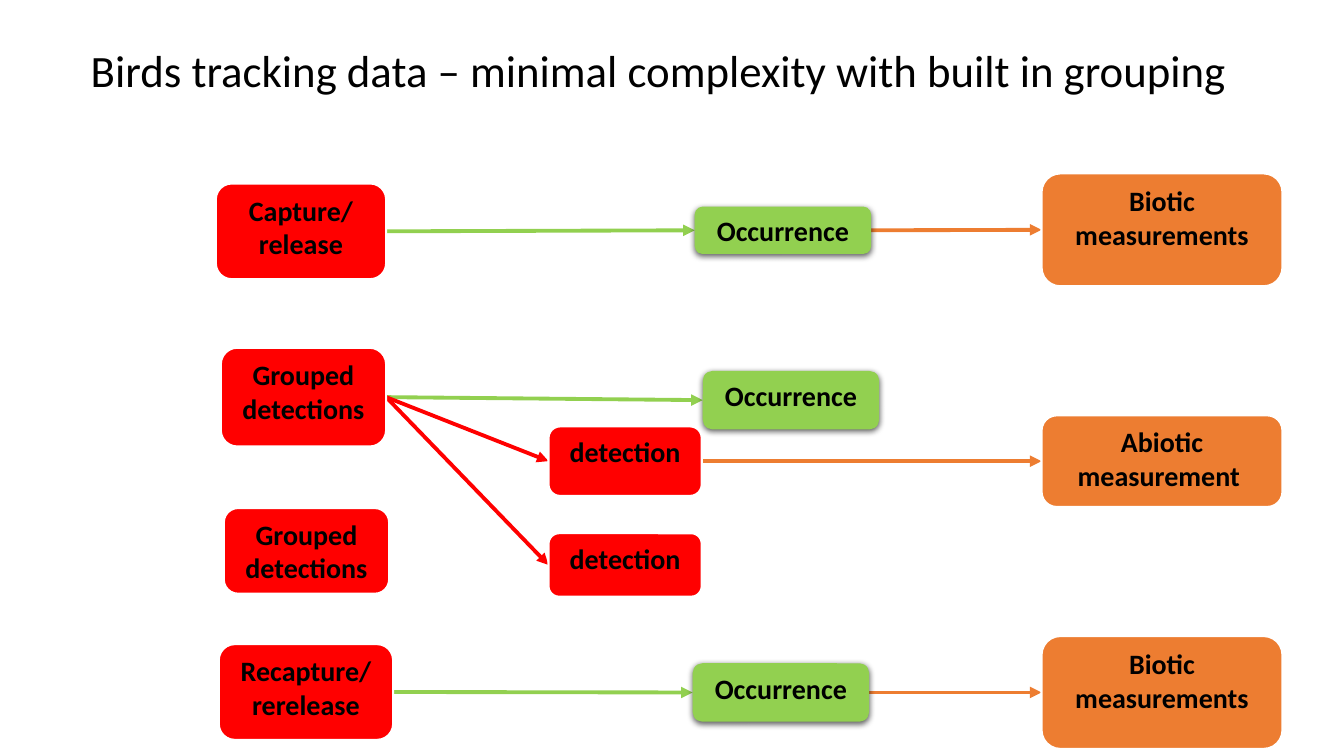
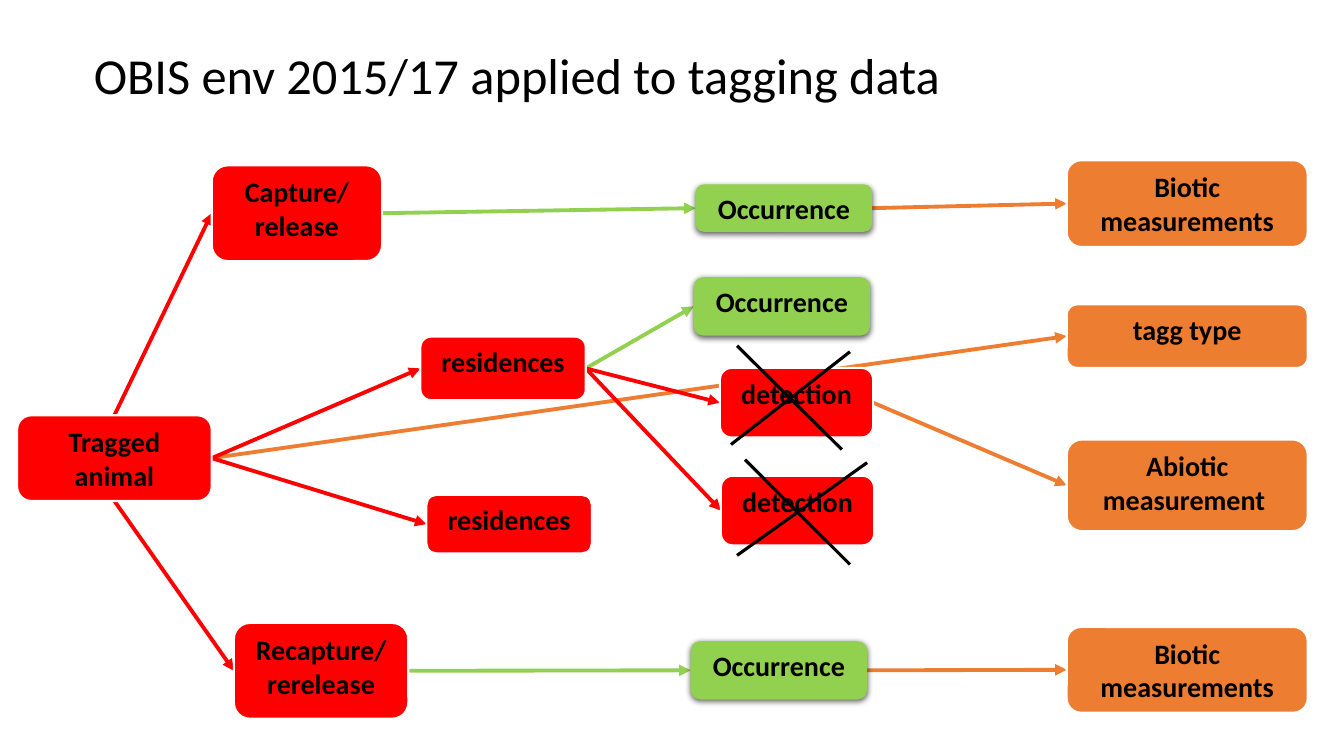
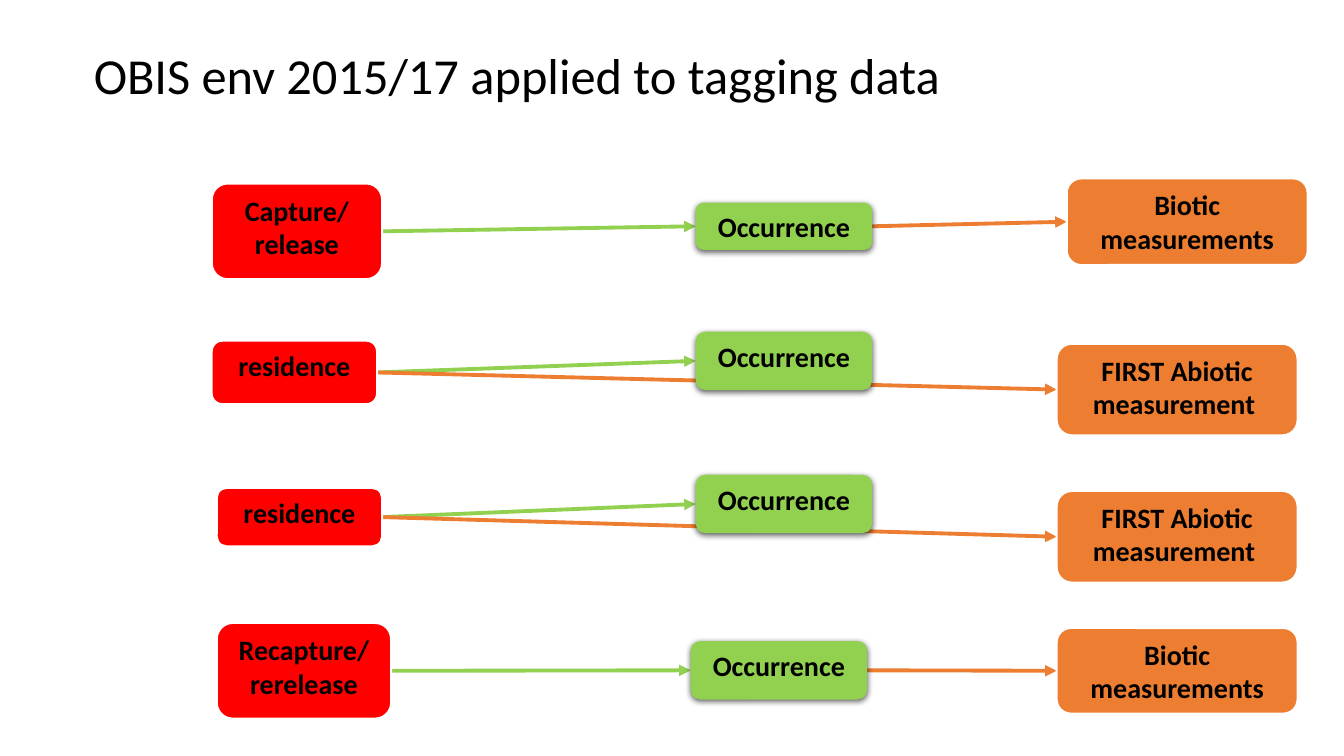
"""Build three slides on event structures for animal tracking data."""
from dataclasses import dataclass

from lxml.etree import SubElement
from pptx import Presentation
from pptx.dml.color import RGBColor
from pptx.enum.shapes import MSO_CONNECTOR, MSO_SHAPE
from pptx.enum.text import MSO_ANCHOR, MSO_AUTO_SIZE, PP_ALIGN
from pptx.oxml.ns import qn
from pptx.util import Inches, Pt


@dataclass(frozen=True)
class Theme:
    font: str = "Calibri"
    text: RGBColor = RGBColor(0, 0, 0)
    border: RGBColor = RGBColor(255, 255, 255)
    event: RGBColor = RGBColor(255, 0, 0)
    occurrence: RGBColor = RGBColor(0x92, 0xD0, 0x50)
    measurement: RGBColor = RGBColor(0xED, 0x7D, 0x31)
    long_title_size: Pt = Pt(32)
    title_size: Pt = Pt(36)
    label_size: Pt = Pt(20)
    border_width: Pt = Pt(1.5)
    link_width: Pt = Pt(2.75)
    strike_width: Pt = Pt(2.25)


THEME = Theme()
TOP, LEFT, BOTTOM, RIGHT = range(4)

KINDS = {
    "animal": (THEME.event, "Tragged animal", 1.93),
    "capture": (THEME.event, "Capture/ release", 1.69),
    "recapture": (THEME.event, "Recapture/ rerelease", 1.73),
    "group": (THEME.event, "Grouped detections", 1.64),
    "residences": (THEME.event, "residences", 1.64),
    "residence": (THEME.event, "residence", 1.64),
    "detection": (THEME.event, "detection", 1.52),
    "occurrence": (THEME.occurrence, "Occurrence", 1.75),
    "biotic": (THEME.measurement, "Biotic measurements", 2.39),
    "abiotic": (THEME.measurement, "Abiotic\nmeasurement ", 2.39),
    "first abiotic": (THEME.measurement, "FIRST Abiotic\nmeasurement ", 2.39),
    "tag": (THEME.measurement, "tagg type", 2.39),
}

OBIS_TITLE = ("OBIS env 2015/17 applied to tagging data", THEME.title_size, (0.83, 0.05, 12.05, 1.45))

SLIDES = [
    {
        "title": (
            "Birds tracking data – minimal complexity with built in grouping",
            THEME.long_title_size,
            (0.8, 0, 11.5, 1.45),
        ),
        "boxes": {
            "capture": ("capture", 2.14, 1.82, 0.95),
            "recapture": ("recapture", 2.17, 6.39, 0.95),
            "capture occurrence": ("occurrence", 6.89, 2.05, 0.47),
            "capture biotic": ("biotic", 10.33, 1.72, 1.12),
            "group 1": ("group", 2.19, 3.45, 0.98),
            "group 2": ("group", 2.22, 5.04, 0.85),
            "group occurrence": ("occurrence", 6.97, 3.68, 0.58),
            "detection 1": ("detection", 5.44, 4.23, 0.69),
            "recapture occurrence": ("occurrence", 6.87, 6.58, 0.58),
            "abiotic": ("abiotic", 10.33, 4.12, 0.91),
            "detection 2": ("detection", 5.44, 5.29, 0.63),
            "recapture biotic": ("biotic", 10.33, 6.31, 1.12),
        },
        "links": [
            ("capture", "capture occurrence", RIGHT),
            ("capture occurrence", "capture biotic", RIGHT),
            ("group 1", "group occurrence", RIGHT),
            ("group 1", "detection 1", RIGHT),
            ("group 1", "detection 2", RIGHT),
            ("detection 1", "abiotic", RIGHT),
            ("recapture", "recapture occurrence", RIGHT),
            ("recapture occurrence", "recapture biotic", RIGHT),
        ],
        "strikes": [],
    },
    {
        "title": OBIS_TITLE,
        "boxes": {
            "animal": ("animal", 0.17, 4.12, 0.85),
            "capture": ("capture", 2.1, 1.64, 0.95),
            "recapture": ("recapture", 2.32, 6.18, 0.95),
            "capture occurrence": ("occurrence", 6.9, 1.83, 0.47),
            "capture biotic": ("biotic", 10.58, 1.59, 0.86),
            "residences 1": ("residences", 4.17, 3.34, 0.63),
            "residences 2": ("residences", 4.23, 4.91, 0.58),
            "residences occurrence": ("occurrence", 6.88, 2.75, 0.58),
            "detection 1": ("detection", 7.14, 3.65, 0.69),
            "tag": ("tag", 10.58, 3.02, 0.63),
            "recapture occurrence": ("occurrence", 6.85, 6.36, 0.58),
            "abiotic": ("abiotic", 10.58, 4.36, 0.91),
            "detection 2": ("detection", 7.15, 4.72, 0.69),
            "recapture biotic": ("biotic", 10.58, 6.22, 0.85),
        },
        "links": [
            ("animal", "tag", RIGHT),
            ("animal", "capture", TOP),
            ("capture", "capture occurrence", RIGHT),
            ("capture occurrence", "capture biotic", RIGHT),
            ("animal", "residences 1", RIGHT),
            ("animal", "residences 2", RIGHT),
            ("residences 1", "residences occurrence", RIGHT),
            ("animal", "recapture", BOTTOM),
            ("residences 1", "detection 1", RIGHT),
            ("residences 1", "detection 2", RIGHT),
            ("detection 1", "abiotic", RIGHT),
            ("recapture", "recapture occurrence", RIGHT),
            ("recapture occurrence", "recapture biotic", RIGHT),
        ],
        "strikes": [
            (7.25, 4.41, 8.43, 3.49),
            (7.31, 3.43, 8.35, 4.46),
            (7.31, 5.51, 8.6, 4.59),
            (7.39, 4.56, 8.43, 5.6),
        ],
    },
    {
        "title": OBIS_TITLE,
        "boxes": {
            "capture": ("capture", 2.1, 1.82, 0.95),
            "recapture": ("recapture", 2.15, 6.18, 0.95),
            "capture occurrence": ("occurrence", 6.9, 2.01, 0.47),
            "capture biotic": ("biotic", 10.58, 1.77, 0.86),
            "residence 1": ("residence", 2.1, 3.38, 0.63),
            "residence 2": ("residence", 2.15, 4.84, 0.58),
            "recapture occurrence": ("occurrence", 6.85, 6.36, 0.58),
            "abiotic 1": ("first abiotic", 10.48, 3.41, 0.91),
            "recapture biotic": ("biotic", 10.48, 6.23, 0.85),
            "abiotic 2": ("first abiotic", 10.48, 4.87, 0.91),
            "occurrence 2": ("occurrence", 6.9, 4.71, 0.58),
            "occurrence 1": ("occurrence", 6.9, 3.29, 0.58),
        },
        "links": [
            ("capture", "capture occurrence", RIGHT),
            ("capture occurrence", "capture biotic", RIGHT),
            ("residence 1", "occurrence 1", RIGHT),
            ("residence 1", "abiotic 1", RIGHT),
            ("residence 2", "occurrence 2", RIGHT),
            ("residence 2", "abiotic 2", RIGHT),
            ("recapture", "recapture occurrence", RIGHT),
            ("recapture occurrence", "recapture biotic", RIGHT),
        ],
        "strikes": [],
    },
]


def add_box(slide, kind, left, top, height):
    colour, label, width = KINDS[kind]
    box = slide.shapes.add_shape(
        MSO_SHAPE.ROUNDED_RECTANGLE, Inches(left), Inches(top), Inches(width), Inches(height)
    )
    box.shadow.inherit = False
    box.fill.solid()
    box.fill.fore_color.rgb = colour
    if colour == THEME.occurrence:
        box.line.fill.background()
        effects = box._element.spPr.find(qn("a:effectLst"))
        shadow = SubElement(
            effects, qn("a:outerShdw"), blurRad=str(Pt(4.5)), dist=str(Pt(1.5)), dir="5400000", rotWithShape="0"
        )
        black = SubElement(shadow, qn("a:srgbClr"), val="000000")
        SubElement(black, qn("a:alpha"), val="63000")
    else:
        box.line.color.rgb = THEME.border
        box.line.width = THEME.border_width
    frame = box.text_frame
    frame.text = label
    frame.word_wrap = True
    frame.vertical_anchor = MSO_ANCHOR.TOP
    for paragraph in frame.paragraphs:
        paragraph.alignment = PP_ALIGN.CENTER
        paragraph.font.name = THEME.font
        paragraph.font.size = THEME.label_size
        paragraph.font.bold = True
        paragraph.font.color.rgb = THEME.text
    return box


def add_line(slide, ends, colour, width, arrow):
    line = slide.shapes.add_connector(MSO_CONNECTOR.STRAIGHT, *[Inches(end) for end in ends])
    line.line.color.rgb = colour
    line.line.width = width
    if arrow:
        SubElement(line.line._get_or_add_ln(), qn("a:tailEnd"), type="triangle")
    SubElement(line._element.spPr, qn("a:effectLst"))
    return line


deck = Presentation()
deck.slide_width, deck.slide_height = Inches(13.33), Inches(7.5)
title_only = deck.slide_layouts[5]

for content in SLIDES:
    slide = deck.slides.add_slide(title_only)

    wording, size, place = content["title"]
    title = slide.shapes.title
    title.left, title.top, title.width, title.height = [Inches(length) for length in place]
    title.text_frame.text = wording
    title.text_frame.word_wrap = True
    title.text_frame.auto_size = MSO_AUTO_SIZE.NONE
    title.text_frame.vertical_anchor = MSO_ANCHOR.MIDDLE
    heading = title.text_frame.paragraphs[0]
    heading.alignment = PP_ALIGN.LEFT
    heading.line_spacing = 0.9
    heading.font.name = THEME.font
    heading.font.size = size
    heading.font.color.rgb = THEME.text

    boxes = {key: add_box(slide, *box) for key, box in content["boxes"].items()}

    for source, target, side in content["links"]:
        colour = KINDS[content["boxes"][target][0]][0]
        link = add_line(slide, (0, 0, 0, 0), colour, THEME.link_width, arrow=True)
        link.begin_connect(boxes[source], side)
        link.end_connect(boxes[target], LEFT)

    for box in boxes.values():
        slide.shapes._spTree.append(box._element)

    for ends in content["strikes"]:
        add_line(slide, ends, THEME.text, THEME.strike_width, arrow=False)

deck.save("out.pptx")
